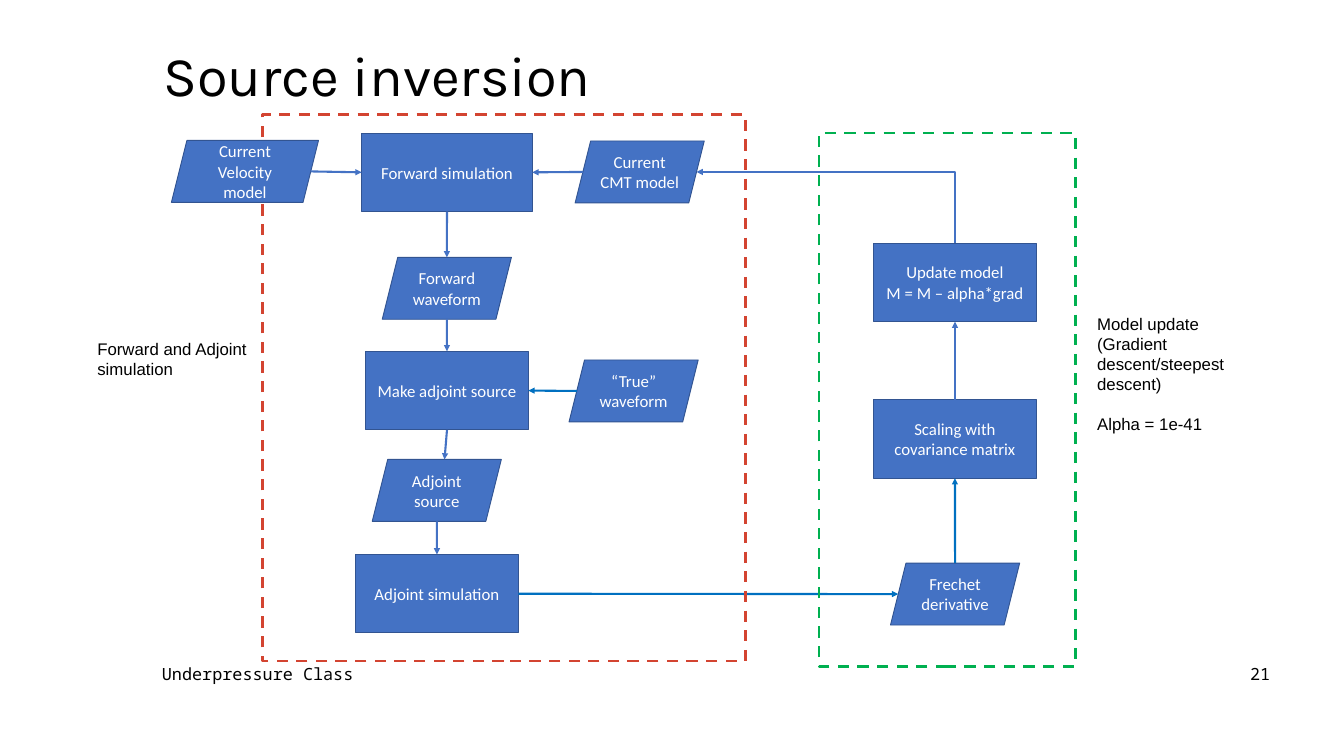
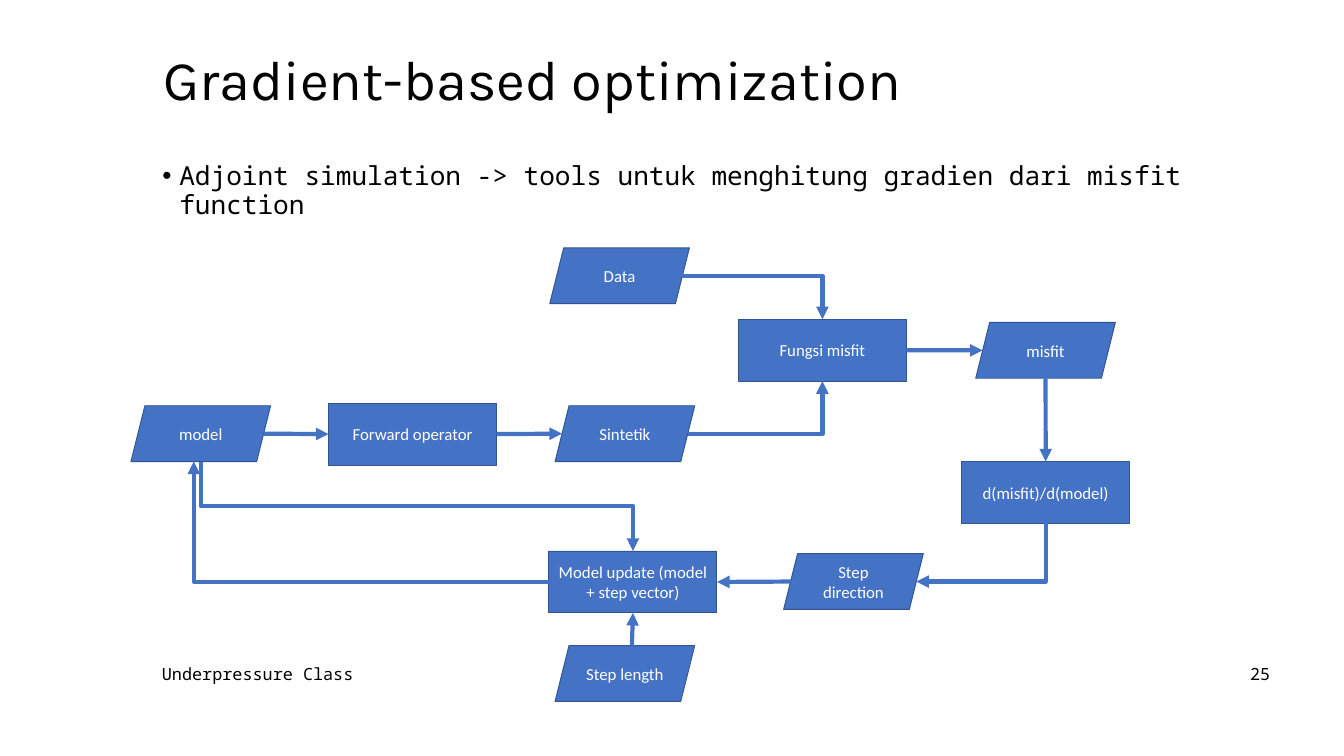
from dataclasses import dataclass
from enum import Enum

from lxml.etree import SubElement
from pptx import Presentation
from pptx.dml.color import RGBColor
from pptx.enum.dml import MSO_LINE_DASH_STYLE as Dash
from pptx.enum.shapes import MSO_CONNECTOR as Connector, MSO_SHAPE as Preset
from pptx.enum.text import MSO_ANCHOR as Anchor, PP_ALIGN as Align
from pptx.oxml.ns import qn
from pptx.shapes.base import BaseShape
from pptx.slide import Slide
from pptx.util import Cm, Pt


@dataclass(frozen=True)
class Theme:
    ink: str = "000000"
    paper: str = "FFFFFF"
    node: str = "4472C4"
    node_edge: str = "325491"
    accent: str = "0070C0"
    simulation: str = "D34431"
    update: str = "00B050"
    title_font: str = "Karla"
    mono_font: str = "Noto Sans Mono"
    node_font: str = "Calibri"
    label_font: str = "Arial"
    title_size: int = 60
    body_size: int = 28
    small_size: int = 18


THEME = Theme()


class Side(Enum):
    LEFT = "left"
    RIGHT = "right"
    TOP = "top"
    BOTTOM = "bottom"
    TOP_EDGE = "middle of the slanted top edge"
    BOTTOM_EDGE = "middle of the slanted bottom edge"


@dataclass(frozen=True)
class Box:
    """A rectangle in centimetres."""
    left: float
    top: float
    width: float
    height: float

    def lengths(self) -> tuple[Cm, Cm, Cm, Cm]:
        return Cm(self.left), Cm(self.top), Cm(self.width), Cm(self.height)


@dataclass(frozen=True)
class Node:
    text: str
    box: Box
    preset: Preset

    def anchor(self, side: Side) -> tuple[float, float]:
        """Point where an arrow meets this side, allowing for the slant."""
        box = self.box
        slant = box.height / 8 if self.preset == Preset.PARALLELOGRAM else 0
        x, y = box.left + box.width / 2, box.top + box.height / 2
        bottom, right = box.top + box.height, box.left + box.width
        return {
            Side.LEFT: (box.left + slant, y),
            Side.RIGHT: (right - slant, y),
            Side.TOP: (x, box.top),
            Side.BOTTOM: (x, bottom),
            Side.TOP_EDGE: (x + slant, box.top),
            Side.BOTTOM_EDGE: (x - slant, bottom),
        }[side]


@dataclass(frozen=True)
class Arrow:
    source: Node
    leaves: Side
    target: Node
    enters: Side
    bends: int = 0
    color: str = THEME.node


@dataclass(frozen=True)
class NodeSizes:
    """Sizes of the process and data nodes on one slide."""
    process_size: tuple[float, float]
    data_size: tuple[float, float]

    def process(self, text: str, left: float, top: float) -> Node:
        return Node(text, Box(left, top, *self.process_size), Preset.RECTANGLE)

    def data(self, text: str, left: float, top: float) -> Node:
        return Node(text, Box(left, top, *self.data_size), Preset.PARALLELOGRAM)


def rgb(color: str) -> RGBColor:
    return RGBColor.from_string(color)


def write_text(shape: BaseShape, text: str, *, font: str, size: int = THEME.small_size,
               color: str = THEME.ink, align: Align = Align.LEFT,
               anchor: Anchor = Anchor.MIDDLE, line_spacing: float | None = None,
               bullet: str = "", last_gap: float = 0) -> None:
    """Fill a shape, one paragraph a line; last_gap goes before the last one."""
    frame = shape.text_frame
    frame.word_wrap = True
    frame.vertical_anchor = anchor
    lines = text.split("\n")
    for index, line in enumerate(lines):
        paragraph = frame.paragraphs[0] if index == 0 else frame.add_paragraph()
        if bullet:
            properties = paragraph._p.get_or_add_pPr()
            properties.set("marL", str(Cm(0.64)))
            properties.set("indent", str(-Cm(0.64)))
            SubElement(properties, qn("a:buFont")).set("typeface", THEME.label_font)
            SubElement(properties, qn("a:buChar")).set("char", bullet)
        paragraph.alignment = align
        if line_spacing:
            paragraph.line_spacing = line_spacing
        if last_gap and index == len(lines) - 1:
            paragraph.space_before = Pt(last_gap)
        run = paragraph.add_run()
        run.text = line
        run.font.name = font
        run.font.size = Pt(size)
        run.font.color.rgb = rgb(color)


def add_text(slide: Slide, text: str, box: Box, **text_format) -> None:
    write_text(slide.shapes.add_textbox(*box.lengths()), text, **text_format)


def draw_node(slide: Slide, node: Node) -> None:
    shape = slide.shapes.add_shape(node.preset, *node.box.lengths())
    shape.shadow.inherit = False
    shape.fill.solid()
    shape.fill.fore_color.rgb = rgb(THEME.node)
    shape.line.color.rgb = rgb(THEME.node_edge)
    shape.line.width = Pt(1)
    write_text(shape, node.text, font=THEME.node_font, color=THEME.paper,
               align=Align.CENTER)


def draw_arrow(slide: Slide, arrow: Arrow, weight: float) -> None:
    """Draw a straight or bent arrow; a bent one may leave up or down."""
    x1, y1 = arrow.source.anchor(arrow.leaves)
    x2, y2 = arrow.target.anchor(arrow.enters)
    rotation = 0
    if arrow.bends and arrow.leaves not in (Side.LEFT, Side.RIGHT):
        # An elbow starts out sideways, so lay it down and turn it.
        middle_x, middle_y = (x1 + x2) / 2, (y1 + y2) / 2
        downward = y2 > y1
        rotation = 90 if downward else 270
        reach = abs(y2 - y1) / 2
        drift = (x1 - x2 if downward else x2 - x1) / 2
        x1, x2 = middle_x - reach, middle_x + reach
        y1, y2 = middle_y - drift, middle_y + drift

    kind = Connector.ELBOW if arrow.bends else Connector.STRAIGHT
    connector = slide.shapes.add_connector(kind, Cm(x1), Cm(y1), Cm(x2), Cm(y2))
    connector.line.color.rgb = rgb(arrow.color)
    connector.line.width = Pt(weight)
    properties = connector.element.spPr
    if arrow.bends:
        properties.find(qn("a:prstGeom")).set("prst", f"bentConnector{arrow.bends + 1}")
    if rotation:
        properties.find(qn("a:xfrm")).set("rot", str(rotation * 60000))
    SubElement(properties.find(qn("a:ln")), qn("a:tailEnd")).set("type", "triangle")
    SubElement(properties, qn("a:effectLst"))


def draw_flow(slide: Slide, nodes: list[Node], arrows: list[Arrow], weight: float) -> None:
    for node in nodes:
        draw_node(slide, node)
    for arrow in arrows:
        draw_arrow(slide, arrow, weight)


def draw_stage_frame(slide: Slide, box: Box, color: str) -> None:
    frame = slide.shapes.add_shape(Preset.RECTANGLE, *box.lengths())
    frame.shadow.inherit = False
    frame.fill.background()
    frame.line.color.rgb = rgb(color)
    frame.line.width = Pt(3)
    frame.line.dash_style = Dash.DASH


def add_slide(deck: Presentation, title: str, title_top: float, number: int) -> Slide:
    slide = deck.slides.add_slide(deck.slide_layouts[6])
    slide.background.fill.solid()
    slide.background.fill.fore_color.rgb = rgb(THEME.paper)
    add_text(slide, title, Box(5.92, title_top, 34.72, 3.18), font=THEME.title_font,
             size=THEME.title_size, line_spacing=0.9)
    add_text(slide, "Underpressure Class", Box(5.87, 24.97, 8.05, 1.02),
             font=THEME.mono_font)
    add_text(slide, str(number), Box(36.83, 24.97, 11.43, 1.02),
             font=THEME.mono_font, align=Align.RIGHT)
    return slide


def build_source_inversion(deck: Presentation) -> None:
    slide = add_slide(deck, "Source inversion", 1.37, 21)
    sizes = NodeSizes(process_size=(6.15, 2.97), data_size=(4.88, 2.34))
    cmt = sizes.data("Current CMT model", 21.74, 5.33)
    forward = Node("Forward simulation", Box(13.67, 5.03, 6.45, 2.97), Preset.RECTANGLE)
    true_wave = sizes.data("“True” waveform", 21.51, 13.61)
    waveform = sizes.data("Forward waveform", 14.45, 9.73)
    make_source = sizes.process("Make adjoint source", 13.82, 13.28)
    adjoint = sizes.process("Adjoint simulation", 13.44, 20.96)
    adjoint_source = sizes.data("Adjoint source", 14.07, 17.37)
    frechet = sizes.data("Frechet derivative", 33.66, 21.29)
    scaling = sizes.process("Scaling with covariance matrix", 33.02, 15.11)
    update = sizes.process("Update model\nM = M – alpha*grad", 33.02, 9.19)
    velocity = Node("Current Velocity model", Box(6.48, 5.31, 5.56, 2.34),
                    Preset.PARALLELOGRAM)
    weight = 2.25

    draw_flow(slide, [cmt, forward, true_wave, waveform, make_source, adjoint,
                      adjoint_source, frechet, scaling, update], [
        Arrow(forward, Side.BOTTOM, waveform, Side.TOP),
        Arrow(waveform, Side.BOTTOM, make_source, Side.TOP),
        Arrow(make_source, Side.BOTTOM, adjoint_source, Side.TOP_EDGE),
        Arrow(adjoint_source, Side.BOTTOM, adjoint, Side.TOP),
        Arrow(true_wave, Side.LEFT, make_source, Side.RIGHT, color=THEME.accent),
        Arrow(cmt, Side.LEFT, forward, Side.RIGHT),
        Arrow(adjoint, Side.RIGHT, frechet, Side.LEFT, color=THEME.accent),
        Arrow(frechet, Side.TOP, scaling, Side.BOTTOM, color=THEME.accent),
        Arrow(scaling, Side.TOP, update, Side.BOTTOM),
        Arrow(update, Side.TOP, cmt, Side.RIGHT, bends=1),
    ], weight)

    draw_stage_frame(slide, Box(9.91, 4.34, 18.26, 20.65), THEME.simulation)
    draw_stage_frame(slide, Box(30.96, 5.03, 9.68, 20.17), THEME.update)
    add_text(slide, "Forward and Adjoint simulation", Box(3.43, 12.67, 6.58, 1.8),
             font=THEME.label_font, anchor=Anchor.TOP)
    add_text(slide, "Model update\n(Gradient descent/steepest descent)\nAlpha = 1e-41",
             Box(41.22, 11.73, 6.58, 4.88), font=THEME.label_font,
             anchor=Anchor.TOP, last_gap=20.7)
    draw_flow(slide, [velocity], [Arrow(velocity, Side.RIGHT, forward, Side.LEFT)], weight)


def build_gradient_optimization(deck: Presentation) -> None:
    slide = add_slide(deck, "Gradient-based optimization", 1.52, 25)
    add_text(slide, "Adjoint simulation -> tools untuk menghitung gradien dari misfit function",
             Box(5.89, 6.05, 39.57, 18.14), font=THEME.mono_font, size=THEME.body_size,
             anchor=Anchor.TOP, line_spacing=0.9, bullet="•")
    sizes = NodeSizes(process_size=(6.35, 2.34), data_size=(5.28, 2.11))
    observed = sizes.data("Data", 20.78, 9.37)
    synthetic = sizes.data("Sintetik", 20.98, 15.34)
    misfit_function = sizes.process("Fungsi misfit", 27.91, 12.07)
    model = sizes.data("model", 4.95, 15.34)
    operator = sizes.process("Forward operator", 12.42, 15.24)
    gradient = sizes.process("d(misfit)/d(model)", 36.35, 17.45)
    misfit = sizes.data("misfit", 36.88, 12.19)
    direction = sizes.data("Step direction", 29.62, 20.93)
    length = sizes.data("Step length", 20.98, 24.41)
    update = sizes.process("Model update (model + step vector)", 20.75, 20.83)

    draw_flow(slide, [observed, synthetic, misfit_function, model, operator, gradient,
                      misfit, direction, length, update], [
        Arrow(model, Side.RIGHT, operator, Side.LEFT),
        Arrow(operator, Side.RIGHT, synthetic, Side.LEFT),
        Arrow(observed, Side.RIGHT, misfit_function, Side.TOP, bends=1),
        Arrow(synthetic, Side.RIGHT, misfit_function, Side.BOTTOM, bends=1),
        Arrow(misfit_function, Side.RIGHT, misfit, Side.LEFT),
        Arrow(misfit, Side.BOTTOM, gradient, Side.TOP),
        Arrow(gradient, Side.BOTTOM, direction, Side.RIGHT, bends=1),
        Arrow(direction, Side.LEFT, update, Side.RIGHT),
        Arrow(length, Side.TOP_EDGE, update, Side.BOTTOM),
        Arrow(model, Side.BOTTOM, update, Side.TOP, bends=2),
        Arrow(update, Side.LEFT, model, Side.BOTTOM_EDGE, bends=1),
    ], weight=4.5)


def main() -> None:
    deck = Presentation()
    deck.slide_width, deck.slide_height = Cm(50.8), Cm(28.58)
    build_source_inversion(deck)
    build_gradient_optimization(deck)
    deck.save("out.pptx")


if __name__ == "__main__":
    main()
